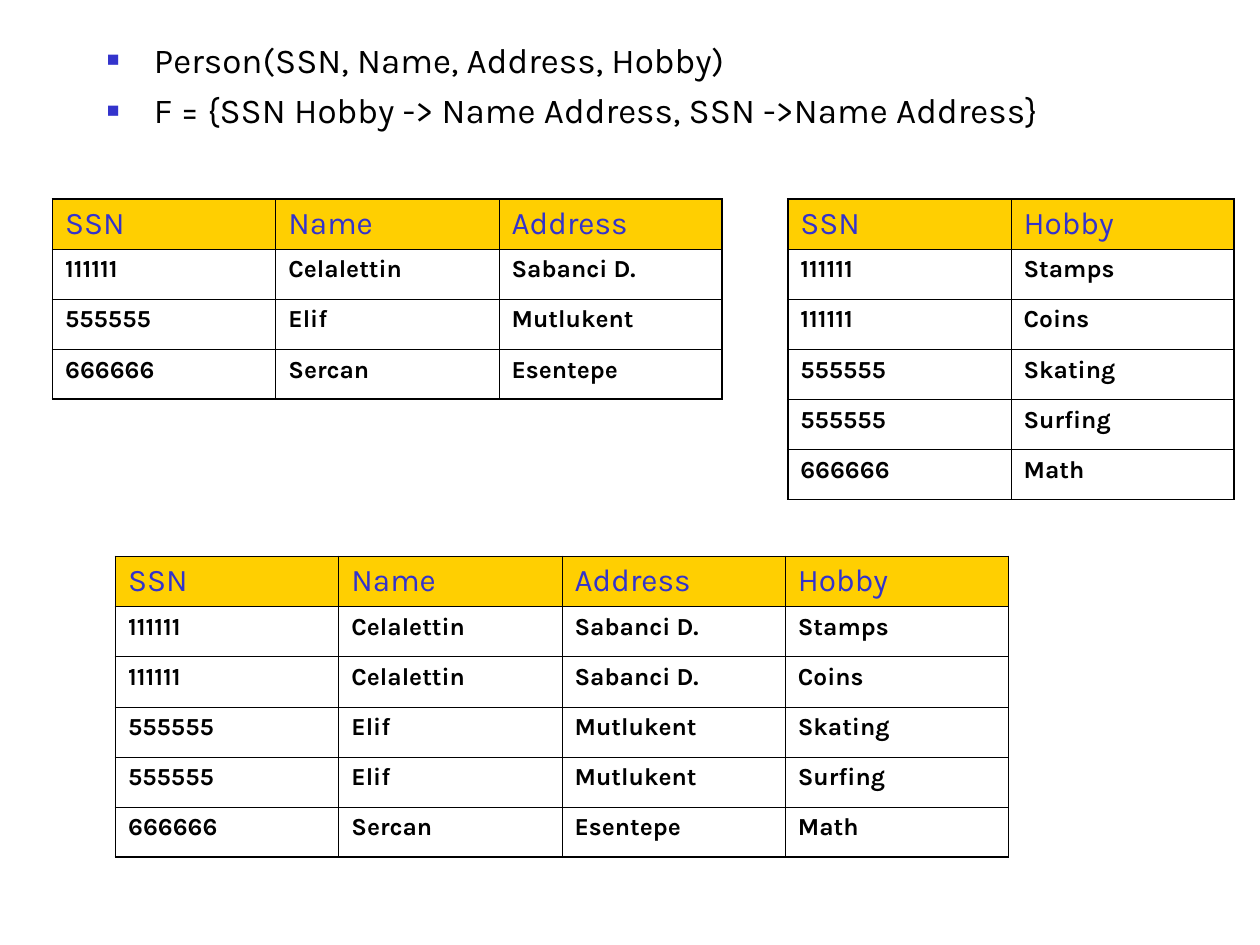
from dataclasses import dataclass

from lxml import etree
from pptx import Presentation
from pptx.dml.color import RGBColor
from pptx.enum.text import MSO_ANCHOR, MSO_AUTO_SIZE
from pptx.oxml.ns import qn
from pptx.slide import Slide
from pptx.table import _Cell
from pptx.text.text import _Paragraph
from pptx.util import Cm, Pt

TOP = MSO_ANCHOR.TOP
NO_FIT = MSO_AUTO_SIZE.NONE
COL_W, ROW_H = Cm(4.5), Cm(1.01)


@dataclass(frozen=True)
class Style:
    size: float
    color: str
    bold: bool
    before: float


@dataclass(frozen=True)
class Theme:
    font: str = "Karla"
    blue: str = "3333CC"
    gold: str = "FFCF01"
    black: str = "000000"
    thin: float = 0.45
    thick: float = 1.08
    list: Style = Style(20, "000000", False, 5)
    head: Style = Style(18, "3333CC", False, 4.5)
    data: Style = Style(14, "000000", True, 3.5)


@dataclass(frozen=True)
class Grid:
    left: float
    top: float
    rows: list[tuple[str, ...]]


THEME = Theme()
RULES = [
    "Person(SSN, Name, Address, Hobby)",
    "F = {SSN Hobby -> Name Address, SSN ->Name Address}",
]
PEOPLE = [
    ("SSN", "Name", "Address"),
    ("111111", "Celalettin", "Sabanci D."),
    ("555555", "Elif", "Mutlukent"),
    ("666666", "Sercan", "Esentepe"),
]
HOBBIES = [
    ("SSN", "Hobby"),
    ("111111", "Stamps"),
    ("111111", "Coins"),
    ("555555", "Skating"),
    ("555555", "Surfing"),
    ("666666", "Math"),
]
# The wide table is the natural join of the two others on SSN.
JOINED = [(*person, hobby) for person in PEOPLE
          for ssn, hobby in HOBBIES if ssn == person[0]]
GRIDS = [
    Grid(2.33, 11.22, JOINED),
    Grid(15.88, 4.01, HOBBIES),
    Grid(1.06, 4.01, PEOPLE),
]


def write(para: _Paragraph, text: str, style: Style) -> None:
    para.space_before = Pt(style.before)
    run = para.add_run()
    run.text = text
    look = {"name": THEME.font, "size": Pt(style.size), "bold": style.bold}
    for key, value in look.items():
        setattr(run.font, key, value)
    run.font.color.rgb = RGBColor.from_string(style.color)


def add_color(parent: etree._Element, color: str) -> None:
    etree.SubElement(parent, qn("a:srgbClr"), val=color)


def add_bullet(para: _Paragraph) -> None:
    props = para._p.get_or_add_pPr()
    props.set("marL", str(Cm(0.95)))
    props.set("indent", str(-Cm(0.95)))
    add_color(etree.SubElement(props, qn("a:buClr")), THEME.blue)
    etree.SubElement(props, qn("a:buSzPct"), val="60000")
    etree.SubElement(props, qn("a:buChar"), char="■")


def add_list(slide: Slide) -> None:
    body = slide.placeholders[1]
    spot = {"left": Cm(1.9), "top": Cm(0.64),
            "width": Cm(21.59), "height": Cm(2.64)}
    for key, value in spot.items():
        setattr(body, key, value)
    frame = body.text_frame
    look = {"word_wrap": True, "auto_size": NO_FIT, "vertical_anchor": TOP}
    for key, value in look.items():
        setattr(frame, key, value)
    for i, text in enumerate(RULES):
        para = frame.add_paragraph() if i else frame.paragraphs[0]
        write(para, text, THEME.list)
        add_bullet(para)


def add_edges(cell: _Cell, outer: dict[str, bool]) -> None:
    """Draw thick lines on the table's outer sides and thin lines inside."""
    props = cell._tc.get_or_add_tcPr()
    for side, thick in outer.items():
        width = Pt(THEME.thick if thick else THEME.thin)
        line = etree.SubElement(props, qn(f"a:ln{side}"), w=str(width))
        add_color(etree.SubElement(line, qn("a:solidFill")), THEME.black)


def add_grid(slide: Slide, grid: Grid) -> None:
    rows, cols = len(grid.rows), len(grid.rows[0])
    table = slide.shapes.add_table(rows, cols, Cm(grid.left), Cm(grid.top),
                                   COL_W * cols, ROW_H * rows).table
    table.first_row = table.horz_banding = False
    for col in table.columns:
        col.width = COL_W
    for r, texts in enumerate(grid.rows):
        table.rows[r].height = ROW_H
        for c, text in enumerate(texts):
            cell = table.cell(r, c)
            write(cell.text_frame.paragraphs[0], text,
                  THEME.data if r else THEME.head)
            add_edges(cell, {"L": c == 0, "R": c == cols - 1,
                             "T": r == 0, "B": r == rows - 1})
            if r:
                cell.fill.background()
            else:
                cell.fill.solid()
                cell.fill.fore_color.rgb = RGBColor.from_string(THEME.gold)


def main() -> None:
    deck = Presentation()
    deck.slide_width, deck.slide_height = Cm(25.4), Cm(19.05)
    slide = deck.slides.add_slide(deck.slide_layouts[1])
    title = slide.shapes.title.element
    title.getparent().remove(title)
    add_list(slide)
    for grid in GRIDS:
        add_grid(slide, grid)
    deck.save("out.pptx")


if __name__ == "__main__":
    main()
